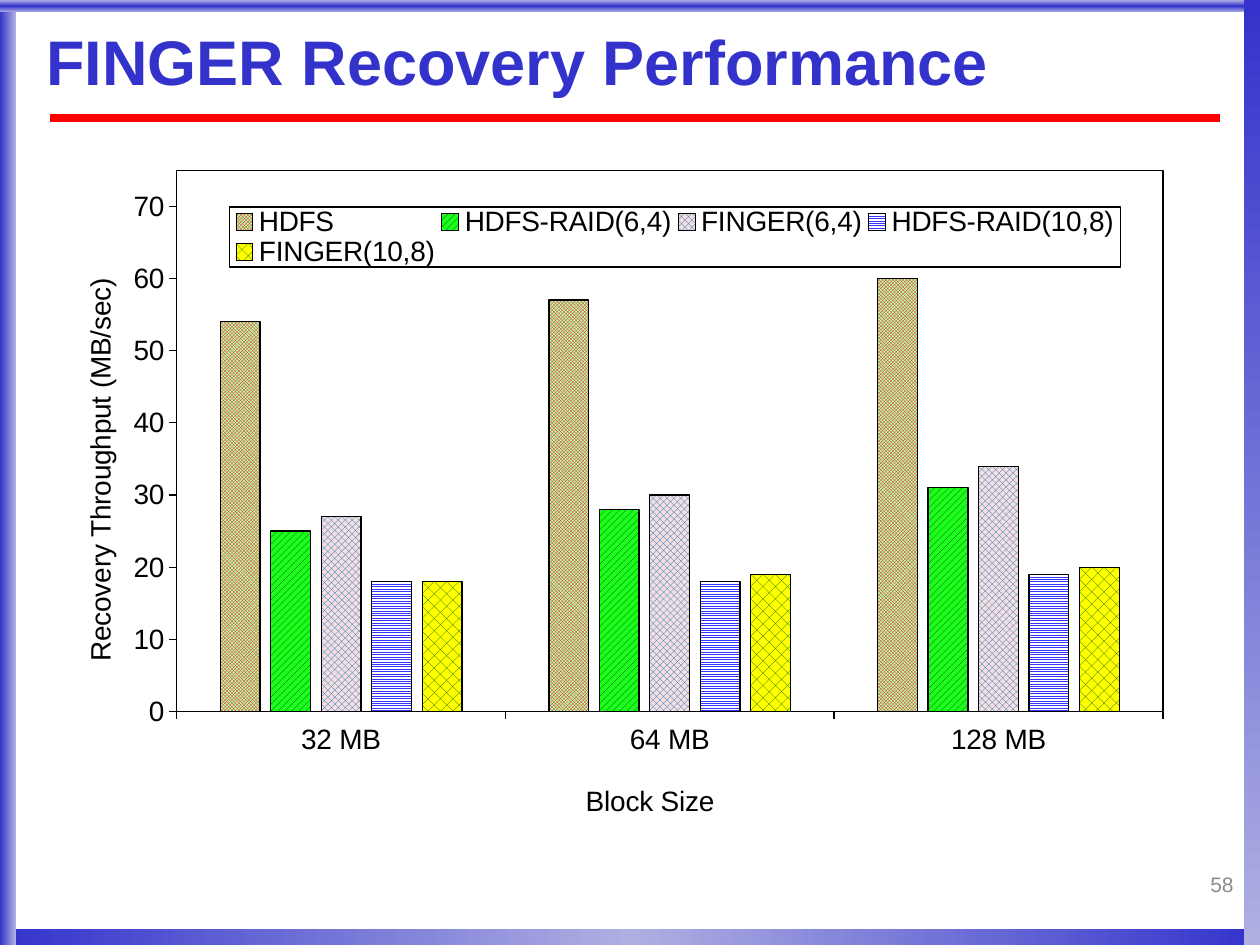
import dataclasses
from typing import Any

import lxml.etree
import pptx
import pptx.chart.data
import pptx.dml.color
import pptx.enum.chart
import pptx.enum.dml
import pptx.enum.shapes
import pptx.enum.text
import pptx.oxml
import pptx.oxml.ns
import pptx.util

Pt = pptx.util.Pt
qn = pptx.oxml.ns.qn
Pattern = pptx.enum.dml.MSO_PATTERN
NAMESPACES = pptx.oxml.ns.nsdecls("a", "c")


@dataclasses.dataclass(frozen=True)
class Theme:
    font: str = "Arial"
    blue: str = "3333CC"
    light_blue: str = "AFAFE2"
    red: str = "FF0000"
    black: str = "000000"
    gray: str = "8C8C8C"
    shadow: str = "B2B2B2"
    title_size: float = 36
    chart_size: float = 16
    number_size: float = 12


THEME = Theme()


@dataclasses.dataclass(frozen=True)
class Box:
    left: float
    top: float
    width: float
    height: float

    def lengths(self) -> tuple:
        return tuple(Pt(value) for value in dataclasses.astuple(self))


@dataclasses.dataclass(frozen=True)
class Band:
    box: Box
    colors: tuple[str, ...]
    angle: int


@dataclasses.dataclass(frozen=True)
class Series:
    name: str
    values: tuple[int, ...]
    pattern: Any
    foreground: str
    background: str


BANDS = (
    Band(Box(0, 531, 720, 9), (THEME.blue, THEME.light_blue, THEME.blue), 0),
    Band(Box(0, 0, 9, 540), (THEME.blue, THEME.light_blue), 0),
    Band(Box(0, 0, 720, 7), (THEME.light_blue, THEME.blue, THEME.light_blue), 90),
    Band(Box(711, 0, 9, 540), (THEME.blue, THEME.light_blue), 90),
)
BLOCK_SIZES = ("32 MB", "64 MB", "128 MB")
THROUGHPUT = (
    Series("HDFS", (54, 57, 60), Pattern.SMALL_CHECKER_BOARD, "FF0000", "B0FFB0"),
    Series("HDFS-RAID(6,4)", (25, 28, 31), Pattern.WIDE_UPWARD_DIAGONAL, "262626", "1AFF1A"),
    Series("FINGER(6,4)", (27, 30, 34), Pattern.LARGE_CHECKER_BOARD, "0070C0", "F7DDDD"),
    Series("HDFS-RAID(10,8)", (18, 18, 19), Pattern.NARROW_HORIZONTAL, "3535FB", "FFFFFF"),
    Series("FINGER(10,8)", (18, 19, 20), Pattern.PERCENT_30, "006000", "FFFF00"),
)


def rgb(color: str) -> pptx.dml.color.RGBColor:
    return pptx.dml.color.RGBColor.from_string(color)


def apply_format(target: Any, values: dict[str, Any]) -> None:
    for name, value in values.items():
        setattr(target, name, value)


def format_font(font: Any, size: float, color: str, bold: bool = False) -> None:
    apply_format(font, {"name": THEME.font, "size": Pt(size), "bold": bold})
    font.fill.solid()
    font.fill.fore_color.rgb = rgb(color)


def format_line(line: Any, color: str, width: float) -> None:
    line.color.rgb = rgb(color)
    line.width = Pt(width)


def draw_band(slide: Any, band: Band) -> None:
    shape = slide.shapes.add_shape(pptx.enum.shapes.MSO_SHAPE.RECTANGLE, *band.box.lengths())
    shape.shadow.inherit = False
    shape.line.fill.background()
    step = 100000 // (len(band.colors) - 1)
    stops = "".join(
        f'<a:gs pos="{index * step}"><a:srgbClr val="{color}"/></a:gs>'
        for index, color in enumerate(band.colors)
    )
    gradient = pptx.oxml.parse_xml(
        f'<a:gradFill {NAMESPACES} rotWithShape="1"><a:gsLst>{stops}</a:gsLst>'
        f'<a:lin ang="{band.angle * 60000}" scaled="0"/></a:gradFill>'
    )
    shape._element.spPr.find(qn("a:prstGeom")).addnext(gradient)


def draw_rule(slide: Any) -> None:
    rule = slide.shapes.add_connector(
        pptx.enum.shapes.MSO_CONNECTOR.STRAIGHT, Pt(28.8), Pt(67.5), Pt(697), Pt(67.5)
    )
    format_line(rule.line, THEME.red, 4.5)
    lxml.etree.SubElement(rule._element.spPr, qn("a:effectLst"))


def write_title(slide: Any) -> None:
    title = slide.shapes.title
    apply_format(title, dict(zip(("left", "top", "width", "height"), Box(26.6, 10.8, 670, 53.3).lengths())))
    apply_format(title.text_frame, {
        "margin_left": 0, "margin_top": 0, "margin_right": 0, "margin_bottom": 0,
        "vertical_anchor": pptx.enum.text.MSO_ANCHOR.MIDDLE, "word_wrap": True,
        "auto_size": pptx.enum.text.MSO_AUTO_SIZE.NONE,
    })
    paragraph = title.text_frame.paragraphs[0]
    apply_format(paragraph, {"alignment": pptx.enum.text.PP_ALIGN.LEFT, "line_spacing": 0.87})
    run = paragraph.add_run()
    run.text = "FINGER Recovery Performance"
    format_font(run.font, THEME.title_size, THEME.blue, bold=True)
    shadow = pptx.oxml.parse_xml(
        f'<a:effectLst {NAMESPACES}><a:outerShdw dist="38100" dir="2700000">'
        f'<a:srgbClr val="{THEME.shadow}"/></a:outerShdw></a:effectLst>'
    )
    run._r.get_or_add_rPr().find(qn("a:solidFill")).addnext(shadow)


def write_slide_number(slide: Any) -> None:
    text_frame = slide.shapes.add_textbox(*Box(550, 491.8, 162, 28.8).lengths()).text_frame
    apply_format(text_frame, {"word_wrap": True, "vertical_anchor": pptx.enum.text.MSO_ANCHOR.MIDDLE})
    paragraph = text_frame.paragraphs[0]
    apply_format(paragraph, {"alignment": pptx.enum.text.PP_ALIGN.RIGHT, "line_spacing": 0.85})
    run = paragraph.add_run()
    run.text = "58"
    format_font(run.font, THEME.number_size, THEME.gray)


def place_in_chart(element: Any, index: int, **fractions: float) -> None:
    """Give a chart part a fixed place, in fractions of the chart's size."""
    for layout in element.findall(qn("c:layout")):
        element.remove(layout)
    target = '<c:layoutTarget val="inner"/>' if element.tag == qn("c:plotArea") else ""
    modes = "".join(f'<c:{name}Mode val="edge"/>' for name in ("x", "y"))
    sizes = "".join(f'<c:{name} val="{value}"/>' for name, value in fractions.items())
    element.insert(index, pptx.oxml.parse_xml(
        f"<c:layout {NAMESPACES}><c:manualLayout>{target}{modes}{sizes}</c:manualLayout></c:layout>"
    ))


def black_border() -> Any:
    return pptx.oxml.parse_xml(
        f'<c:spPr {NAMESPACES}><a:noFill/><a:ln w="{Pt(0.75)}"><a:solidFill>'
        f'<a:srgbClr val="{THEME.black}"/></a:solidFill></a:ln></c:spPr>'
    )


def format_axis(axis: Any, title: str, x: float, y: float) -> None:
    apply_format(axis, {
        "has_major_gridlines": False,
        "major_tick_mark": pptx.enum.chart.XL_TICK_MARK.OUTSIDE,
        "minor_tick_mark": pptx.enum.chart.XL_TICK_MARK.NONE,
    })
    format_line(axis.format.line, THEME.black, 0.75)
    format_font(axis.tick_labels.font, THEME.chart_size, THEME.black)
    run = axis.axis_title.text_frame.paragraphs[0].add_run()
    run.text = title
    format_font(run.font, THEME.chart_size, THEME.black)
    place_in_chart(axis.axis_title._element, 1, x=x, y=y)


def draw_chart(slide: Any) -> None:
    data = pptx.chart.data.CategoryChartData(number_format="0")
    data.categories = BLOCK_SIZES
    for series in THROUGHPUT:
        data.add_series(series.name, series.values)
    kind = pptx.enum.chart.XL_CHART_TYPE.COLUMN_CLUSTERED
    chart = slide.shapes.add_chart(kind, *Box(24.5, 89.3, 653.8, 418.3).lengths(), data).chart
    apply_format(chart, {"has_title": False, "has_legend": True})
    format_font(chart.font, THEME.chart_size, THEME.black)
    plot = chart.plots[0]
    apply_format(plot, {"gap_width": 219, "overlap": -27, "vary_by_categories": False})
    for column, series in zip(plot.series, THROUGHPUT):
        fill = column.format.fill
        fill.patterned()
        fill.pattern = series.pattern
        fill.fore_color.rgb = rgb(series.foreground)
        fill.back_color.rgb = rgb(series.background)
        format_line(column.format.line, THEME.black, 0.75)

    format_axis(chart.category_axis, "Block Size", 0.47, 0.85)
    format_axis(chart.value_axis, "Recovery Throughput (MB/sec)", 0.03, 0.16)
    apply_format(chart.value_axis, {"minimum_scale": 0, "maximum_scale": 75, "major_unit": 10})
    chart.value_axis.axis_title.text_frame._txBody.bodyPr.set("rot", "-5400000")

    plot_area = chart._chartSpace.chart.plotArea
    place_in_chart(plot_area, 0, x=0.117, y=0.019, w=0.862, h=0.74)
    plot_area.append(black_border())
    legend = chart.legend
    apply_format(legend, {"position": pptx.enum.chart.XL_LEGEND_POSITION.BOTTOM, "include_in_layout": False})
    format_font(legend.font, THEME.chart_size, THEME.black)
    place_in_chart(legend._element, 1, x=0.163, y=0.069, w=0.779, h=0.082)
    legend._element.find(qn("c:txPr")).addprevious(black_border())


def main() -> None:
    presentation = pptx.Presentation()
    apply_format(presentation, {"slide_width": Pt(720), "slide_height": Pt(540)})
    slide = presentation.slides.add_slide(presentation.slide_layouts[5])
    for band in BANDS:
        draw_band(slide, band)
    draw_rule(slide)
    write_title(slide)
    write_slide_number(slide)
    draw_chart(slide)
    presentation.save("out.pptx")


if __name__ == "__main__":
    main()
